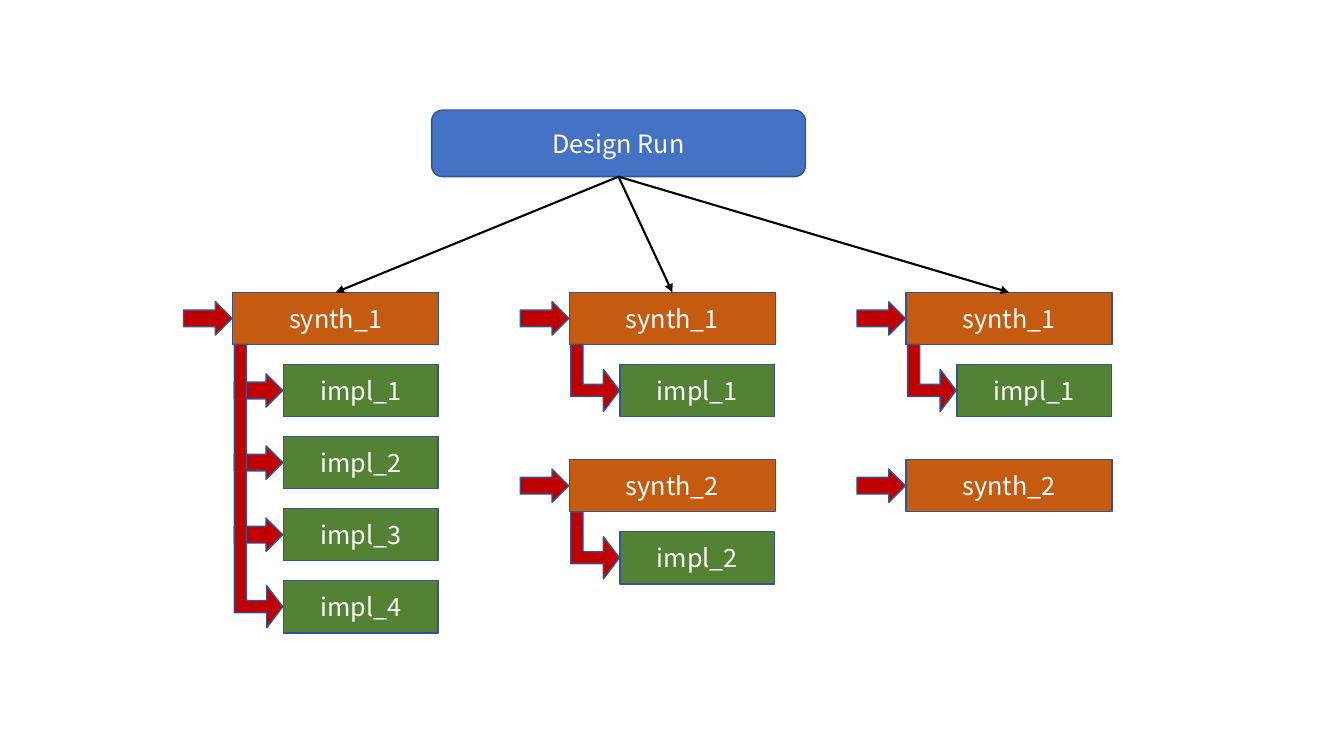
import pptx
import pptx.dml.color
import pptx.enum.shapes
import pptx.enum.text
import pptx.oxml
import pptx.oxml.ns
import pptx.util

Pt = pptx.util.Pt
RGBColor = pptx.dml.color.RGBColor
SHAPES = pptx.enum.shapes.MSO_SHAPE

BLUE = RGBColor(0x44, 0x72, 0xC4)
ORANGE = RGBColor(0xC5, 0x5A, 0x11)
GREEN = RGBColor(0x54, 0x82, 0x35)
RED = RGBColor(0xC0, 0x00, 0x00)
OUTLINE = RGBColor(0x32, 0x54, 0x91)
WHITE = RGBColor(0xFF, 0xFF, 0xFF)
BLACK = RGBColor(0x00, 0x00, 0x00)

BOX_HEIGHT = 37.3
SYNTH_WIDTH = 147
IMPL_WIDTH = 110.3
IMPL_INDENT = 36.2
ROW_STEP = 51.5
ARROW_WIDTH = 34.6
ARROW_HEIGHT = 23.8
ARROW_OFFSET = 35.2
HEAD_HALF = 15
FIRST_COLUMN = 166.3
COLUMN_STEP = 240.5
FIRST_ROW = 208.8
GROUP_STEP = 119.5

RUNS = [
    [("synth_1", ["impl_1", "impl_2", "impl_3", "impl_4"])],
    [("synth_1", ["impl_1"]), ("synth_2", ["impl_2"])],
    [("synth_1", ["impl_1"]), ("synth_2", [])],
]


class Diagram:
    font = "Noto Sans CJK SC"

    def __init__(self, slide):
        self.slide = slide

    def shape(self, kind, left, top, width, height, fill):
        shape = self.slide.shapes.add_shape(kind, Pt(left), Pt(top), Pt(width), Pt(height))
        shape.shadow.inherit = False
        shape.fill.solid()
        shape.fill.fore_color.rgb = fill
        shape.line.color.rgb = OUTLINE
        shape.line.width = Pt(1)
        return shape

    def label(self, shape, text, size=18, color=WHITE):
        frame = shape.text_frame
        frame.vertical_anchor = pptx.enum.text.MSO_ANCHOR.MIDDLE
        para = frame.paragraphs[0]
        para.alignment = pptx.enum.text.PP_ALIGN.CENTER
        span = para.add_run()
        span.text = text
        span.font.name = self.font
        span.font.size = Pt(size)
        span.font.color.rgb = color

    def box(self, text, left, top, width, height=BOX_HEIGHT, fill=ORANGE, kind=SHAPES.RECTANGLE):
        box = self.shape(kind, left, top, width, height, fill)
        self.label(box, text)
        return box

    def arrow(self, box_left, box_top):
        top = box_top + (BOX_HEIGHT - ARROW_HEIGHT) / 2
        self.shape(SHAPES.RIGHT_ARROW, box_left - ARROW_OFFSET, top, ARROW_WIDTH, ARROW_HEIGHT, RED)

    def bent_arrow(self, box_left, box_top, start):
        length = box_top + BOX_HEIGHT / 2 + HEAD_HALF - start
        shift = (length - ARROW_WIDTH) / 2
        arrow = self.shape(SHAPES.BENT_UP_ARROW, box_left - ARROW_OFFSET - shift,
                           start + shift, length, ARROW_WIDTH, RED)
        arrow.rotation = 90
        for index, value in enumerate((0.25, 0.434, 0.329)):
            arrow.adjustments[index] = value

    def connector(self, parent, child):
        line = self.slide.shapes.add_connector(pptx.enum.shapes.MSO_CONNECTOR.STRAIGHT, 0, 0, 0, 0)
        line.begin_connect(parent, 2)
        line.end_connect(child, 0)
        line.line.color.rgb = BLACK
        line.line.width = Pt(1.5)
        namespace = pptx.oxml.ns.nsdecls("a")
        properties = line._element.spPr
        properties.get_or_add_ln().append(pptx.oxml.parse_xml(f'<a:tailEnd {namespace} type="triangle"/>'))
        properties.append(pptx.oxml.parse_xml(f'<a:effectLst {namespace}/>'))

    def synthesis(self, name, implementations, left, top):
        synth = self.box(name, left, top, SYNTH_WIDTH)
        self.arrow(left, top)
        impl_left = left + IMPL_INDENT
        for row, implementation in enumerate(implementations, 1):
            impl_top = top + row * ROW_STEP
            self.box(implementation, impl_left, impl_top, IMPL_WIDTH, fill=GREEN)
            if row < len(implementations):
                self.arrow(impl_left, impl_top)
            else:
                self.bent_arrow(impl_left, impl_top, top + BOX_HEIGHT)
        return synth


deck = pptx.Presentation()
deck.slide_width = Pt(960)
deck.slide_height = Pt(540)
diagram = Diagram(deck.slides.add_slide(deck.slide_layouts.get_by_name("Blank")))

first_synths = []
for column, groups in enumerate(RUNS):
    left = FIRST_COLUMN + column * COLUMN_STEP
    synths = [diagram.synthesis(name, implementations, left, FIRST_ROW + index * GROUP_STEP)
              for index, (name, implementations) in enumerate(groups)]
    first_synths.append(synths[0])

design_run = diagram.box("Design Run", 308.3, 78.6, 267, height=47.6, fill=BLUE,
                         kind=SHAPES.ROUNDED_RECTANGLE)
for synth in first_synths:
    diagram.connector(design_run, synth)

deck.save("out.pptx")
